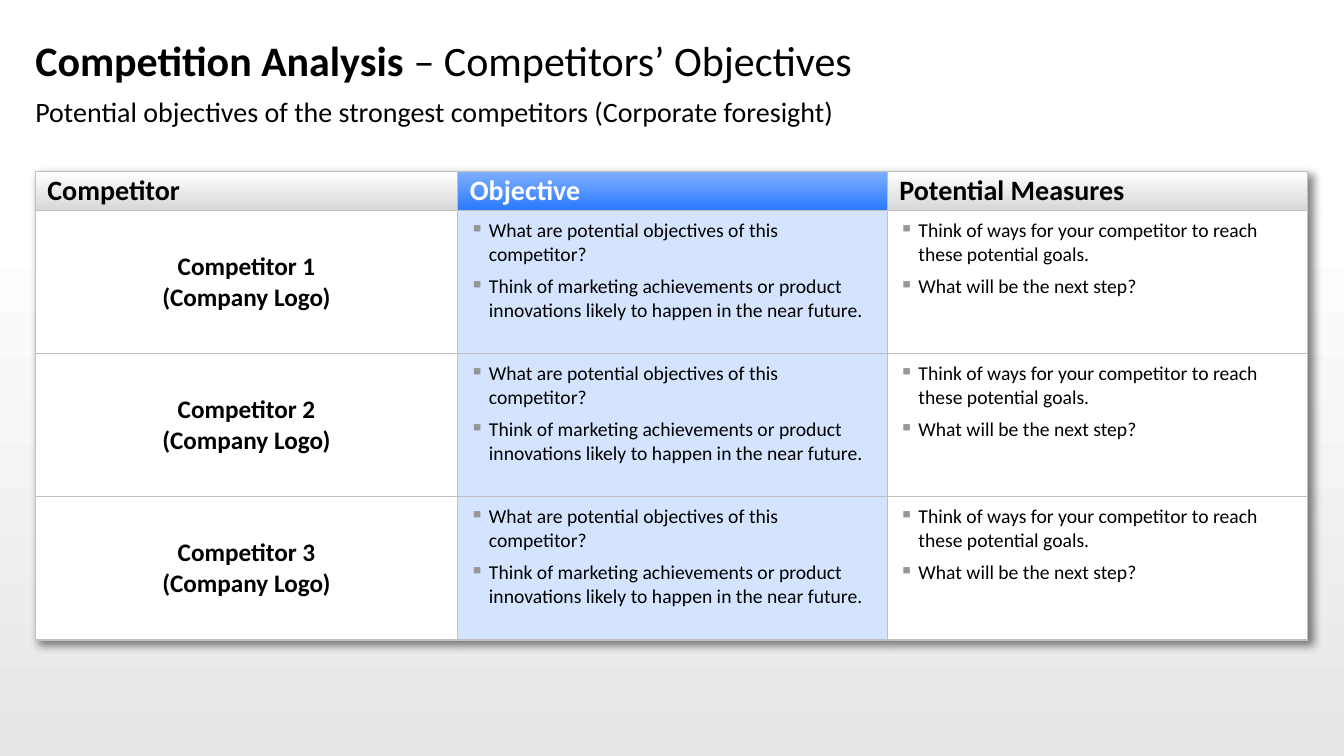
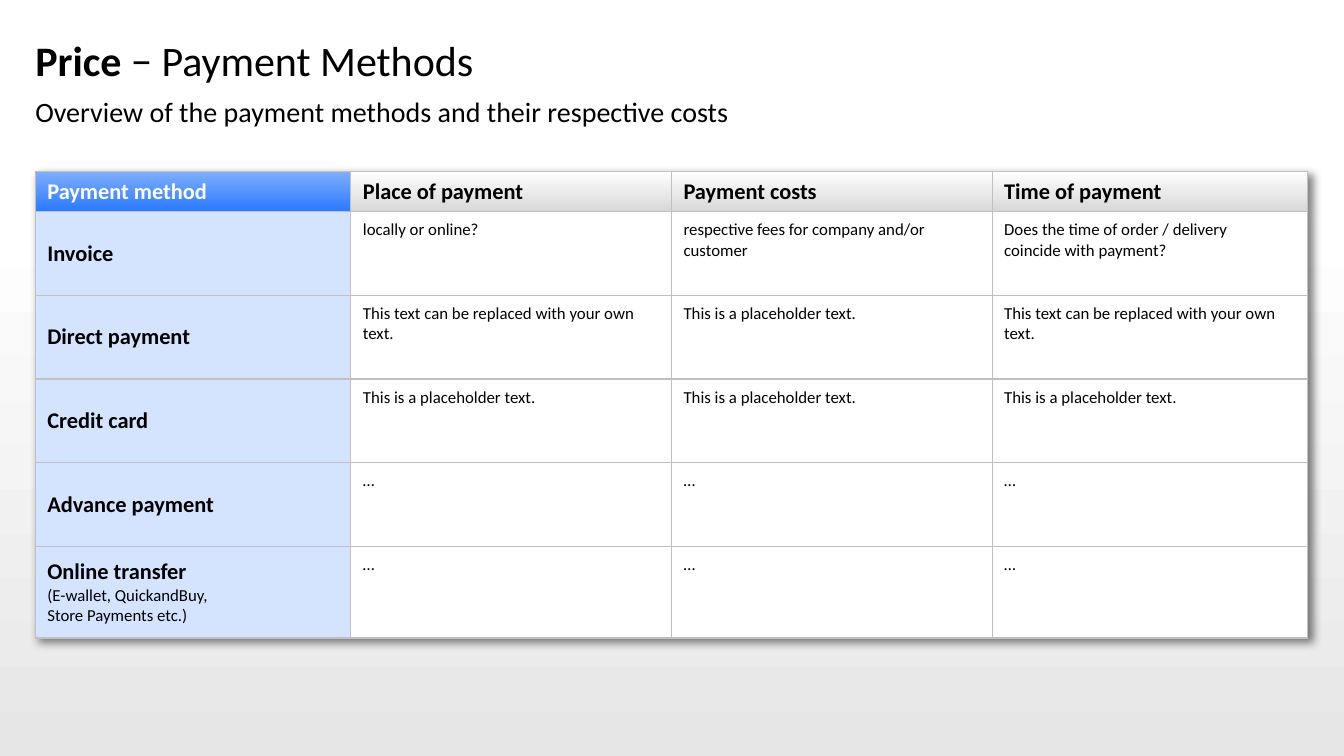
from lxml.etree import SubElement
from pptx import Presentation
from pptx.dml.color import RGBColor
from pptx.enum.shapes import MSO_SHAPE as Shape
from pptx.enum.text import MSO_ANCHOR as Anchor, MSO_AUTO_SIZE as AutoSize, PP_ALIGN as Align
from pptx.oxml import parse_xml
from pptx.oxml.ns import nsdecls, qn
from pptx.util import Inches, Pt

# Shared look
FONT = "Calibri"
BLACK, WHITE, BORDER, BULLET = "000000", "FFFFFF", "C0C0C0", "969696"
GRAY_HEADER, BLUE_HEADER = ("FFFFFF", "D7D7D7"), ("7FAFFF", "2A79FF")
LIGHT_BLUE = "D4E4FF"
LEFT, WIDTH = 0.35, 12.62
TABLE_TOP, TABLE_HEIGHT = 1.7, 4.65
SHADOW = (
    f'<a:effectLst {nsdecls("a")}><a:outerShdw blurRad="76200" dist="50800" dir="2700000" '
    'algn="tl" rotWithShape="0"><a:srgbClr val="000000"><a:alpha val="50000"/></a:srgbClr>'
    '</a:outerShdw></a:effectLst>'
)


def paint(fill, *colors):
    """Fill with one colour, or with two running from top to bottom."""
    if len(colors) == 1:
        fill.solid()
        fill.fore_color.rgb = RGBColor.from_string(colors[0])
        return
    fill.gradient()
    fill.gradient_angle = 270
    for stop, color in zip(fill.gradient_stops, colors):
        stop.color.rgb = RGBColor.from_string(color)


def style(font, size, bold=False, color=BLACK):
    font.name, font.size, font.bold = FONT, Pt(size), bold
    font.color.rgb = RGBColor.from_string(color)


# Content: each body cell is a list of paragraphs
objectives = [
    "What are potential objectives of this competitor?",
    "Think of marketing achievements or product innovations likely to happen in the near future.",
]
measures = [
    "Think of ways for your competitor to reach these potential goals.",
    "What will be the next step?",
]
own_text = ["This text can be replaced with your own text."]
filler = ["This is a placeholder text."]
dots = ["…"]

pages = [
    dict(
        title=("Competition Analysis ", "– Competitors’ Objectives"),
        subtitle="Potential objectives of the strongest competitors (Corporate foresight)",
        columns=[4.19, 4.26, 4.17], row_heights=[0.39] + [1.42] * 3,
        blue_column=1, header_size=20, label_size=18, text_size=14,
        label_align=Align.CENTER, bullets=True,
        header=["Competitor", "Objective", "Potential Measures"],
        rows=[[[f"Competitor {number}", "(Company Logo)"], objectives, measures]
              for number in (1, 2, 3)],
    ),
    dict(
        title=("Price ", "− Payment Methods"),
        subtitle="Overview of the payment methods and their respective costs",
        columns=[3.13, 3.18, 3.18, 3.13], row_heights=[0.4] + [0.83] * 4 + [0.91],
        blue_column=0, header_size=16, label_size=16, text_size=12,
        label_align=Align.LEFT, bullets=False,
        header=["Payment method", "Place of payment", "Payment costs", "Time of payment"],
        rows=[
            [["Invoice"], ["locally or online?"],
             ["respective fees for company and/or customer"],
             ["Does the time of order / delivery coincide with payment?"]],
            [["Direct payment"], own_text, filler, own_text],
            [["Credit card"], filler, filler, filler],
            [["Advance payment"], dots, dots, dots],
            [["Online transfer"], dots, dots, dots],
        ],
    ),
]

deck = Presentation()
deck.slide_width, deck.slide_height = Inches(13.33), Inches(7.5)
layout = deck.slide_layouts[1]

for content in pages:
    page = deck.slides.add_slide(layout)

    # Title and subtitle
    title, subtitle = page.shapes.title, page.placeholders[1]
    for box, top, height, anchor in ((title, 0.26, 0.67, Anchor.MIDDLE),
                                     (subtitle, 0.94, 0.37, Anchor.TOP)):
        box.left, box.top = Inches(LEFT), Inches(top)
        box.width, box.height = Inches(WIDTH), Inches(height)
        frame = box.text_frame
        frame.margin_left = frame.margin_right = frame.margin_top = frame.margin_bottom = 0
        frame.vertical_anchor, frame.auto_size = anchor, AutoSize.NONE
        frame.paragraphs[0].alignment = Align.LEFT
    for text, bold in zip(content["title"], (True, False)):
        span = title.text_frame.paragraphs[0].add_run()
        span.text = text
        style(span.font, 30, bold)
    para = subtitle.text_frame.paragraphs[0]
    para.text = content["subtitle"]
    properties = para._p.get_or_add_pPr()
    properties.set("marL", "0")
    properties.set("indent", "0")
    SubElement(properties, qn("a:buNone"))
    para.space_before = Pt(0)
    style(para.font, 20)

    # Table with a soft shadow
    grid = [[[heading] for heading in content["header"]]] + content["rows"]
    table = page.shapes.add_table(
        len(grid), len(content["columns"]), Inches(LEFT), Inches(TABLE_TOP),
        Inches(WIDTH), Inches(TABLE_HEIGHT)).table
    table.first_row = table.horz_banding = False
    table._tbl.tblPr.insert(0, parse_xml(SHADOW))
    for column, width in zip(table.columns, content["columns"]):
        column.width = Inches(width)
    for row, height in zip(table.rows, content["row_heights"]):
        row.height = Inches(height)

    for r, row in enumerate(grid):
        for c, lines in enumerate(row):
            cell = table.cell(r, c)
            is_header, is_blue = r == 0, c == content["blue_column"]
            is_text = not is_header and c > 0

            # Borders come before the fill
            for side in ("lnL", "lnR", "lnT", "lnB"):
                line = SubElement(cell._tc.get_or_add_tcPr(), qn(f"a:{side}"), w=str(Pt(1)))
                SubElement(SubElement(line, qn("a:solidFill")), qn("a:srgbClr"), val=BORDER)
            if is_header:
                paint(cell.fill, *(BLUE_HEADER if is_blue else GRAY_HEADER))
            else:
                paint(cell.fill, LIGHT_BLUE if is_blue else WHITE)

            cell.vertical_anchor = Anchor.TOP if is_text else Anchor.MIDDLE
            cell.margin_left = Inches(0.12)
            cell.margin_right = Inches(0.2 if is_text else 0.12)
            cell.margin_top = cell.margin_bottom = Inches(0 if is_header else 0.08)

            cell.text_frame.text = "\n".join(lines)
            for para in cell.text_frame.paragraphs:
                if is_header:
                    style(para.font, content["header_size"], True, WHITE if is_blue else BLACK)
                elif not is_text:
                    para.alignment = content["label_align"]
                    style(para.font, content["label_size"], True)
                else:
                    if content["bullets"]:
                        properties = para._p.get_or_add_pPr()
                        properties.set("marL", str(Inches(0.19)))
                        properties.set("indent", str(-Inches(0.19)))
                        color = SubElement(properties, qn("a:buClr"))
                        SubElement(color, qn("a:srgbClr"), val=BULLET)
                        SubElement(properties, qn("a:buChar"), char="▪")
                    para.space_after = Pt(6)
                    style(para.font, content["text_size"])

# Examples under the last payment method
note = table.cell(5, 0).text_frame.add_paragraph()
note.text = "(E-wallet, QuickandBuy,\vStore Payments etc.)"
style(note.font, 12)

# Gray band at the foot of every page, kept on the master
band = page.shapes.add_shape(Shape.RECTANGLE, 0, Inches(2.21), deck.slide_width, Inches(5.29))
band.shadow.inherit = False
band.line.fill.background()
paint(band.fill, WHITE, "E6E6E6")
deck.slide_master.shapes._spTree.insert(2, band._element)

deck.save("out.pptx")
